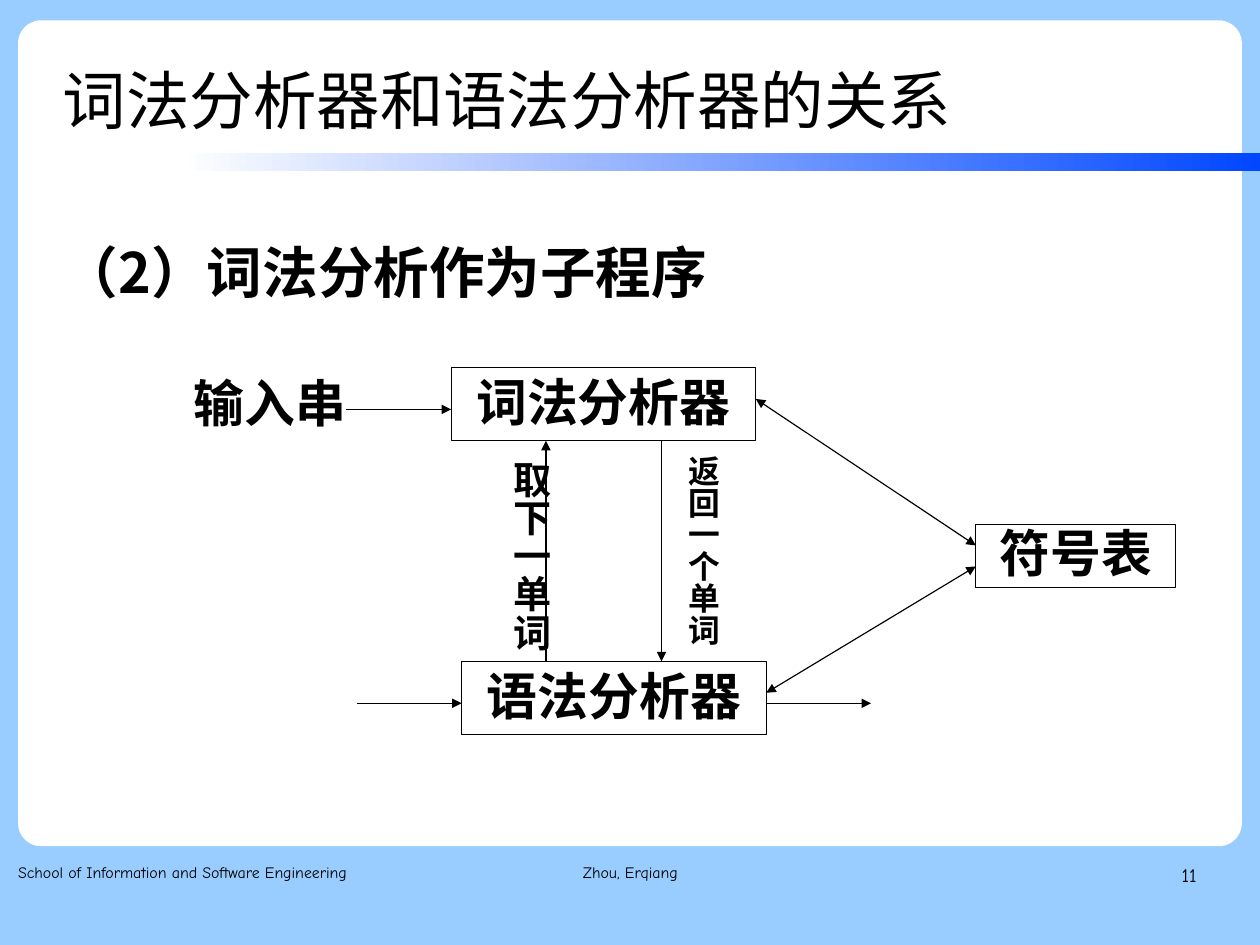
from lxml.etree import SubElement
from pptx import Presentation
from pptx.dml.color import RGBColor
from pptx.enum.shapes import MSO_CONNECTOR, MSO_SHAPE
from pptx.enum.text import MSO_ANCHOR, MSO_AUTO_SIZE, PP_ALIGN
from pptx.oxml.ns import qn
from pptx.util import Pt

BLACK = RGBColor(0x00, 0x00, 0x00)
WHITE = RGBColor(0xFF, 0xFF, 0xFF)
SKY = RGBColor(0x99, 0xCC, 0xFF)
BLUE = RGBColor(0x00, 0x47, 0xFF)
HAN = "Noto Sans CJK SC"
COMIC = "Comic Neue"
WIDE, HIGH = 793.7, 595.28


def write(shape, text, size=32, font=HAN, bold=True, align=PP_ALIGN.LEFT,
          anchor=MSO_ANCHOR.TOP, space=0.93, pad=(0, 0, 0, 0), wrap=True,
          grow=False, vert=None, after=0, hang=0):
    """Fill a shape with one formatted paragraph and return the shape."""
    frame = shape.text_frame
    frame.word_wrap = wrap
    frame.auto_size = MSO_AUTO_SIZE.SHAPE_TO_FIT_TEXT if grow else MSO_AUTO_SIZE.NONE
    frame.vertical_anchor = anchor
    frame.margin_left, frame.margin_top, frame.margin_right, frame.margin_bottom = map(Pt, pad)
    if vert:
        frame._txBody.bodyPr.set("vert", vert)
    para = frame.paragraphs[0]
    para.alignment, para.line_spacing, para.space_after = align, space, Pt(after)
    para.space_before = Pt(0)
    if hang:
        props = para._p.get_or_add_pPr()
        props.set("marL", str(Pt(hang)))
        props.set("indent", str(Pt(-hang)))
    run = para.add_run()
    run.text = text
    run.font.size, run.font.bold, run.font.name = Pt(size), bold, font
    run.font.color.rgb = BLACK
    SubElement(run._r.get_or_add_rPr(), qn("a:ea"), typeface=font)
    return shape


def label(slide, text, box, **style):
    """Add a text box at the given box."""
    return write(slide.shapes.add_textbox(*map(Pt, box)), text, **style)


def block(slide, kind, box):
    """Add a plain shape without shadow or outline."""
    shape = slide.shapes.add_shape(kind, *map(Pt, box))
    shape.shadow.inherit = False
    shape.line.fill.background()
    return shape


def node(slide, text, box):
    """Add an outlined diagram box with centred text."""
    shape = block(slide, MSO_SHAPE.RECTANGLE, box)
    shape.fill.background()
    shape.line.color.rgb, shape.line.width = BLACK, Pt(0.75)
    write(shape, text, align=PP_ALIGN.CENTER, anchor=MSO_ANCHOR.MIDDLE,
          pad=(8, 4, 8, 4), wrap=False)


def arrow(slide, start, end, both=False):
    """Draw an arrow from start to end, with two heads if both is set."""
    line = slide.shapes.add_connector(MSO_CONNECTOR.STRAIGHT, *map(Pt, start + end))
    line.line.color.rgb, line.line.width = BLACK, Pt(0.75)
    stroke = line.line._get_or_add_ln()
    for tag in ("a:headEnd", "a:tailEnd") if both else ("a:tailEnd",):
        SubElement(stroke, qn(tag), type="triangle")
    SubElement(line._element.spPr, qn("a:effectLst"))


def frame(slide, box):
    """Paint the background, the white panel and the fading bar."""
    x, y, w, h = box
    slide.background.fill.solid()
    slide.background.fill.fore_color.rgb = SKY
    panel = block(slide, MSO_SHAPE.ROUNDED_RECTANGLE, (x + 11.4, y + 12.8, w - 22.8, h - 75))
    panel.adjustments[0] = 0.028
    panel.fill.solid()
    panel.fill.fore_color.rgb = WHITE
    bar = block(slide, MSO_SHAPE.RECTANGLE, (x + 113, y + 96.4, w - 113, 11.4))
    bar.fill.gradient()
    bar.fill.gradient_angle = 0
    for stop, tint in zip(bar.fill.gradient_stops, (WHITE, BLUE)):
        stop.color.rgb = tint


def heads(slide, box):
    """Place the title and the subheading."""
    x, y, w, h = box
    title = slide.shapes.title
    title.left, title.top, title.width, title.height = map(Pt, (x, y, 618, 72.6))
    write(title, "词法分析器和语法分析器的关系", size=40, bold=False,
          anchor=MSO_ANCHOR.MIDDLE, space=1.1)
    slide.shapes._spTree.append(title._element)
    label(slide, "（2）词法分析作为子程序", (x, y + 112.3, w, h - 112.3), size=35,
          align=PP_ALIGN.JUSTIFY, space=1.3, pad=(0, 1.5, 0, 0), after=14, hang=15)


def graph(slide, box):
    """Draw the lexer, parser and symbol table with their links."""
    x, y, w, h = box
    nw, nh, tw, th, gap = 191.9, 46.2, 126, 39.6, 66
    lx, px, tx = x + 170.3, x + 176.9, x + w - tw
    low, py, ty = y + nh, y + h - nh, y + 98.9
    node(slide, "词法分析器", (lx, y, nw, nh))
    node(slide, "语法分析器", (px, py, nw, nh))
    node(slide, "符号表", (tx, ty, tw, th))
    arrow(slide, (x + 230, py), (x + 230, low))
    arrow(slide, (x + 302.8, low), (x + 302.8, py))
    mid = py + 26.4
    for tip, row in ((px + nw + gap, mid), (px, mid), (lx, y + 26.4)):
        arrow(slide, (tip - gap, row), (tip, row))
    arrow(slide, (lx + nw, y + 19.8), (tx, ty + th / 3), both=True)
    arrow(slide, (px + nw, py + 19.8), (tx, ty + th * 2 / 3), both=True)
    label(slide, "输入串", (x, y + 1.9, 112.3, 43.9), pad=(8, 4, 8, 4),
          wrap=False, grow=True)
    for text, size, dx, dy, width in (("取下一单词", 24, 194, 51, 42.5),
                                      ("返回一个单词", 20, 304.6, 47.4, 38.2)):
        label(slide, text, (x + dx, y + dy, width, 128.2), size=size,
              pad=(4, 8, 4, 8), wrap=False, grow=True, vert="eaVert")


def footer(slide, box):
    """Place the school, author and page number."""
    x, y, w, h = box
    for text, size, dx, width, align in (
            ("11", 12, w - 185, 185, PP_ALIGN.RIGHT),
            ("Zhou, Erqiang", 10, 260, 251.3, PP_ALIGN.CENTER),
            ("School of Information and Software Engineering", 10, 0, 243.4, PP_ALIGN.LEFT)):
        label(slide, text, (x + dx, y, width, h), size=size, font=COMIC,
              bold=False, align=align, space=1.16)


def main():
    """Build and save the slide."""
    deck = Presentation()
    deck.slide_width, deck.slide_height = Pt(WIDE), Pt(HIGH)
    slide = deck.slides.add_slide(deck.slide_layouts[5])
    frame(slide, (0, 0, WIDE, HIGH))
    heads(slide, (39.6, 23.6, 714.2, 457.2))
    graph(slide, (113.9, 231.5, 626.8, 231.3))
    footer(slide, (11.4, 541.8, 742.4, 41))
    deck.save("out.pptx")


if __name__ == "__main__":
    main()
